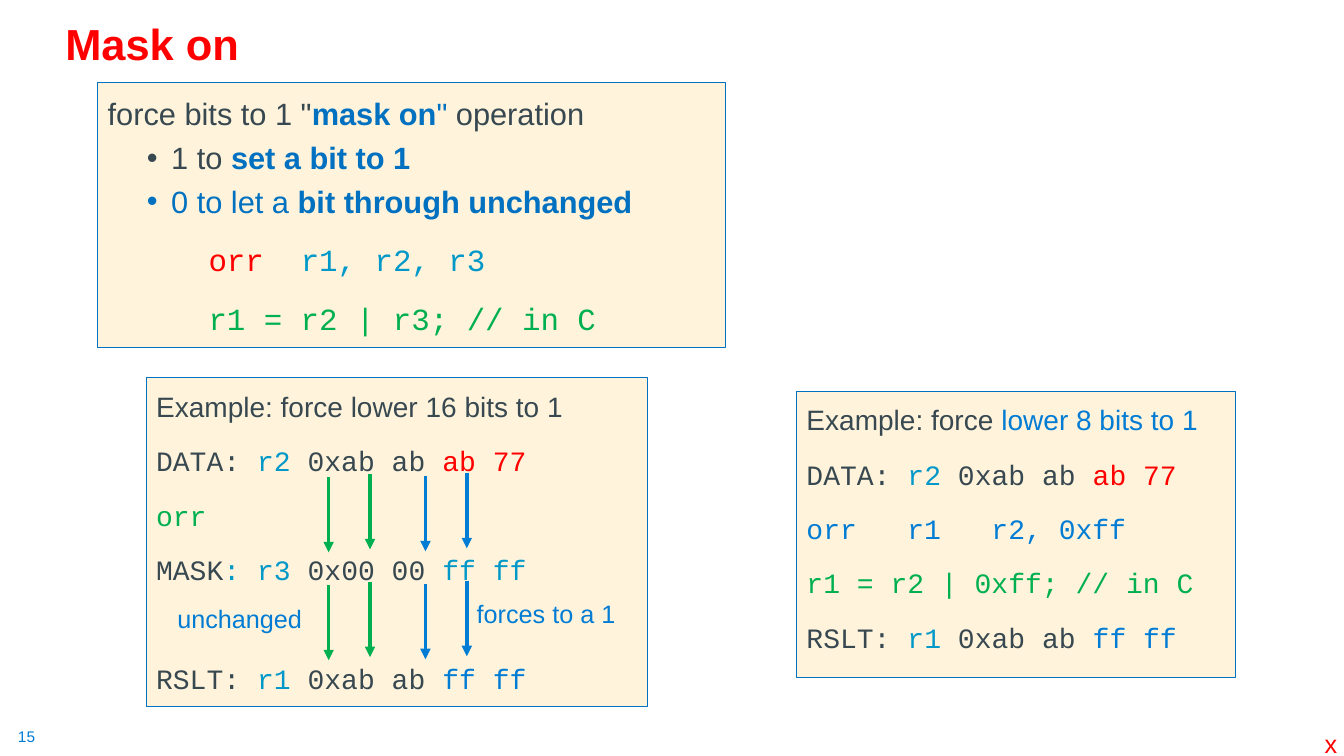
from lxml import etree
from pptx import Presentation
from pptx.dml.color import RGBColor
from pptx.enum.shapes import MSO_CONNECTOR, MSO_SHAPE
from pptx.enum.text import MSO_ANCHOR
from pptx.oxml.ns import qn
from pptx.util import Inches, Pt

RECTANGLE = MSO_SHAPE.RECTANGLE
STRAIGHT = MSO_CONNECTOR.STRAIGHT
TOP, BOTTOM = MSO_ANCHOR.TOP, MSO_ANCHOR.BOTTOM

SANS, MONO = "Arial", "Courier New"
DARK, RED, GREEN = "384851", "FF0000", "00B050"
BLUE, BORDER, TEAL, CREAM = "007CD5", "0070C0", "0098C9", "FFF4DB"


def color(value):
    return RGBColor.from_string(value)


def add_runs(para, runs, size, font):
    for text, shade, *bold in runs:
        span = para.add_run()
        span.text = text
        span.font.name = font
        span.font.size = Pt(size)
        span.font.bold = bool(bold)
        span.font.color.rgb = color(shade)


deck = Presentation()
deck.slide_width, deck.slide_height = Inches(13.33), Inches(7.5)
page = deck.slides.add_slide(deck.slide_layouts[6])

data_row = ("code", [("DATA: ", DARK), ("r2", TEAL), (" 0xab ab ", DARK), ("ab 77", RED)])
result_runs = [("RSLT: ", DARK), ("r1", TEAL), (" 0xab ab ", DARK), ("ff ff", BLUE)]

# style: font, left margin, first-line indent, space before, line spacing
styles = {
    "heading": (SANS, 0, 0, 0, 1.2),
    "bullet": (SANS, 0.63, -0.24, 5, 1.0),
    "code": (MONO, 0, 0, 10, 1.2),
    "indented code": (MONO, 1, 0, 10, 1.2),
    "spaced code": (MONO, 0, 0, 49, 1.2),
}
panels = [
    ((0.97, 0.82, 6.23, 2.63), 22, [
        ("heading", [('force bits to 1 "', DARK), ("mask on", BORDER, True),
                     ('" ', BORDER), ("operation", DARK)]),
        ("bullet", [("1 to ", DARK), ("set a bit to 1", BORDER, True)]),
        ("bullet", [("0 to let a ", BORDER), ("bit through unchanged", BORDER, True)]),
        ("indented code", [("orr", RED), ("  r1, r2, r3", TEAL)]),
        ("indented code", [("r1 = r2 | r3; // in C", GREEN)]),
    ]),
    ((1.45, 3.75, 4.97, 3.26), 20, [
        ("heading", [("Example: force lower 16 bits to 1", DARK)]),
        data_row,
        ("code", [("orr", GREEN)]),
        ("code", [("MASK", DARK), (": r3 ", TEAL), ("0x00 00 ", DARK), ("ff ff", TEAL)]),
        ("spaced code", result_runs),
    ]),
    ((7.9, 3.88, 4.35, 2.84), 20, [
        ("heading", [("Example: force ", DARK), ("lower 8 bits to 1", BLUE)]),
        data_row,
        ("code", [("orr   r1   r2, 0xff", BLUE)]),
        ("code", [("r1 = r2 | 0xff; // in C", GREEN)]),
        ("code", result_runs),
    ]),
]
for bounds, size, rows in panels:
    panel = page.shapes.add_shape(RECTANGLE, *map(Inches, bounds))
    panel.shadow.inherit = False
    panel.fill.solid()
    panel.fill.fore_color.rgb = color(CREAM)
    panel.line.color.rgb = color(BORDER)
    panel.line.width = Pt(0.75)
    frame = panel.text_frame
    frame.word_wrap = True
    frame.vertical_anchor = TOP
    for index, (style, runs) in enumerate(rows):
        font, margin, indent, before, spacing = styles[style]
        para = frame.add_paragraph() if index else frame.paragraphs[0]
        para.line_spacing = spacing
        para.space_before = Pt(before)
        properties = para._p.get_or_add_pPr()
        properties.set("algn", "l")
        properties.set("marL", str(Inches(margin)))
        properties.set("indent", str(Inches(indent)))
        if style == "bullet":
            etree.SubElement(properties, qn("a:buFont"), typeface=SANS)
            etree.SubElement(properties, qn("a:buChar"), char="•")
        add_runs(para, runs, size, font)

arrows = [(3.26, 4.73, GREEN), (3.67, 4.7, GREEN), (4.22, 4.72, BLUE), (4.63, 4.69, BLUE)]
for row in range(2):
    for x, first_top, shade in arrows:
        top = first_top + row * 1.07
        arrow = page.shapes.add_connector(
            STRAIGHT, Inches(x), Inches(top), Inches(x), Inches(top + 0.75))
        arrow.line.color.rgb = color(shade)
        arrow.line.width = Pt(2.5)
        etree.SubElement(arrow.line._get_or_add_ln(), qn("a:tailEnd"), type="triangle")
        etree.SubElement(arrow._element.spPr, qn("a:effectLst"))

labels = [
    ("Mask on", (0.55, 0.13, 11.5, 0.61), 31, RED, True),
    ("forces to a 1", (4.63, 5.89, 1.59, 0.4), 18, BLUE),
    ("unchanged", (1.66, 5.94, 1.45, 0.4), 18, BLUE),
    ("15", (0.08, 7.16, 0.39, 0.29), 11, BLUE),
    ("x", (13.04, 7.18, 0.33, 0.4), 18, RED),
]
for text, bounds, size, shade, *title in labels:
    box = page.shapes.add_textbox(*map(Inches, bounds))
    frame = box.text_frame
    frame.word_wrap = bool(title)
    para = frame.paragraphs[0]
    if title:
        frame.vertical_anchor = BOTTOM
        para.line_spacing = 0.9
    add_runs(para, [(text, shade, *title)], size, SANS)

deck.save("out.pptx")
